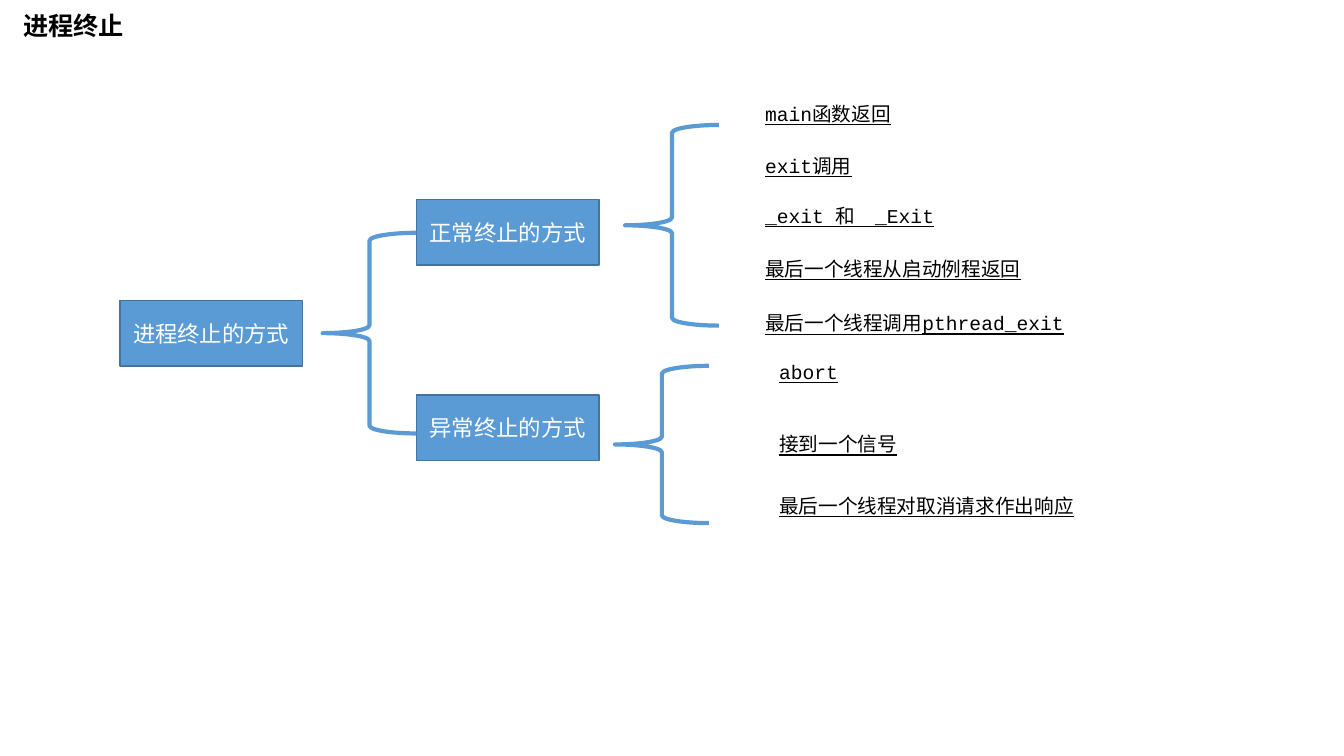
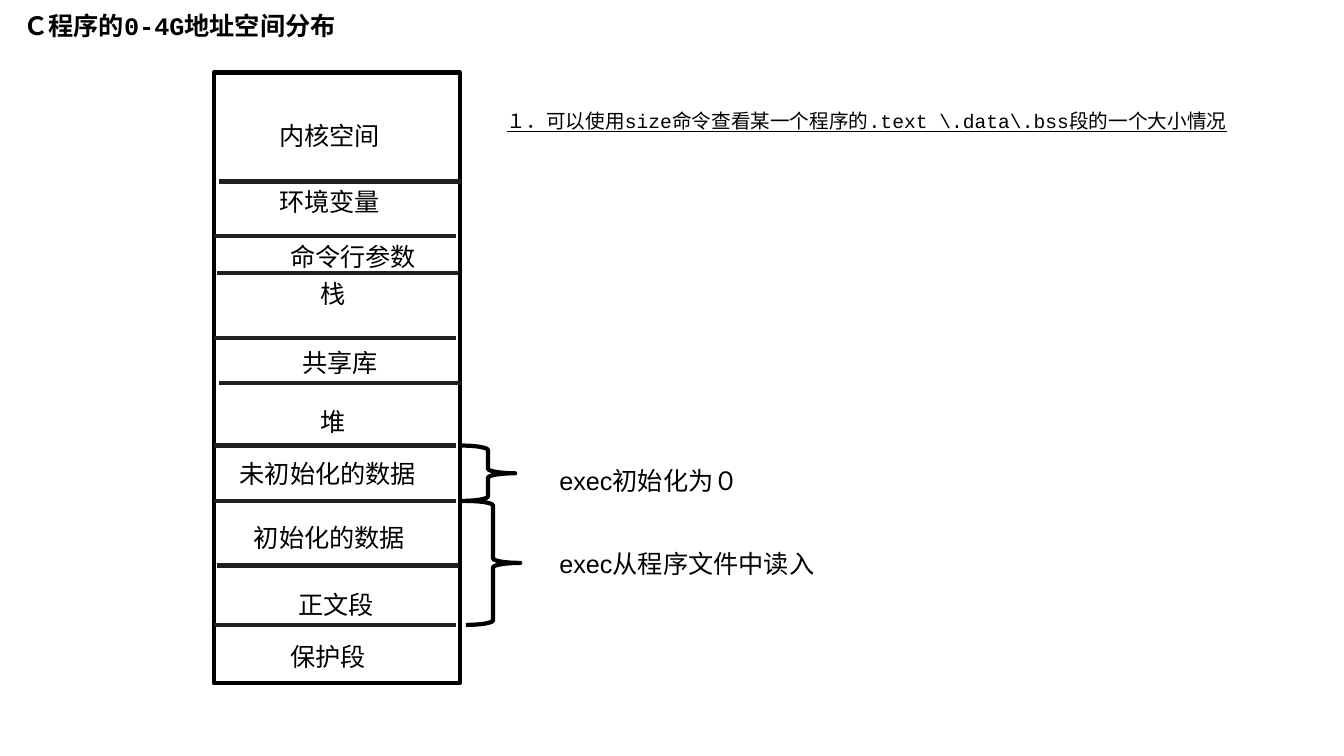
from dataclasses import dataclass

from lxml import etree
from pptx import Presentation
from pptx.dml.color import RGBColor
from pptx.enum import shapes, text
from pptx.oxml import ns
from pptx.util import Inches, Pt

COLORS = {
    "ink": "000000",
    "paper": "FFFFFF",
    "node": "5B9BD5",
    "node_edge": "43739E",
    "divider": "202020",
}
MONO, SANS = "Courier New", "Arial"
LINE_HEIGHT = {14: 0.34, 18: 0.4}
BRACE_LINE = 3


@dataclass(frozen=True)
class Box:
    left: float
    top: float
    width: float
    height: float

    def lengths(self):
        return tuple(Inches(n) for n in (self.left, self.top, self.width, self.height))


@dataclass(frozen=True)
class Label:
    words: str
    left: float
    top: float
    width: float


@dataclass(frozen=True)
class Divider:
    left: float
    top: float


NODE_WIDTH, NODE_HEIGHT = 1.81, 0.65
NODES = [
    Label("进程终止的方式", 1.19, 2.98, NODE_WIDTH),
    Label("正常终止的方式", 4.13, 1.98, NODE_WIDTH),
    Label("异常终止的方式", 4.13, 3.92, NODE_WIDTH),
]
TREE_BRACES = [
    Box(3.2, 2.31, 0.93, 1.99),
    Box(6.2, 1.24, 0.93, 1.99),
    Box(6.1, 3.63, 0.93, 1.56),
]
NORMAL_LEFT, ABNORMAL_LEFT = 7.49, 7.63
WAYS = [
    Label("main函数返回", NORMAL_LEFT, 0.96, 1.6),
    Label("exit调用", NORMAL_LEFT, 1.48, 1.6),
    Label("_exit 和　_Exit", NORMAL_LEFT, 1.97, 2.13),
    Label("最后一个线程从启动例程返回", NORMAL_LEFT, 2.5, 4.48),
    Label("最后一个线程调用pthread_exit", NORMAL_LEFT, 3.04, 4.48),
    Label("abort", ABNORMAL_LEFT, 3.52, 1.6),
    Label("接到一个信号", ABNORMAL_LEFT, 4.24, 1.6),
    Label("最后一个线程对取消请求作出响应", ABNORMAL_LEFT, 4.85, 3.77),
]

MEMORY = Box(2.12, 0.72, 2.44, 6.06)
DIVIDER_WIDTH = 2.4
DIVIDERS = [
    Divider(2.17, 1.8),
    Divider(2.12, 2.34),
    Divider(2.15, 2.71),
    Divider(2.12, 3.35),
    Divider(2.17, 3.8),
    Divider(2.12, 4.42),
    Divider(2.12, 4.97),
    Divider(2.15, 5.61),
    Divider(2.12, 6.2),
]
SEGMENTS = [
    Label("内核空间", 2.67, 1.14, 2.26),
    Label("环境变量", 2.67, 1.8, 2.26),
    Label("命令行参数", 2.78, 2.34, 2.26),
    Label("栈", 3.08, 2.71, 2.26),
    Label("共享库", 2.9, 3.4, 2.26),
    Label("堆", 3.08, 3.98, 2.26),
    Label("未初始化的数据", 2.28, 4.5, 2.26),
    Label("初始化的数据", 2.42, 5.13, 1.88),
    Label("正文段", 2.86, 5.8, 1.44),
    Label("保护段", 2.78, 6.31, 1.44),
]
EXEC_BRACES = [Box(4.57, 4.42, 0.54, 0.55), Box(4.62, 4.97, 0.54, 1.23)]
EXEC_NOTES = [
    Label("exec初始化为０", 5.45, 4.57, 3.47),
    Label("exec从程序文件中读入", 5.45, 5.39, 3.47),
]
SIZE_NOTE = Label(
    "１．可以使用size命令查看某一个程序的.text \\.data\\.bss段的一个大小情况", 4.93, 1.03, 7.96
)


def rgb(color: str) -> RGBColor:
    return RGBColor.from_string(COLORS[color])


def write(frame, words: str, *, size: int, font: str = SANS, color: str = "ink",
          bold: bool = False, underline: bool = False,
          align=text.PP_ALIGN.LEFT, anchor=text.MSO_ANCHOR.TOP) -> None:
    frame.word_wrap = True
    frame.auto_size = text.MSO_AUTO_SIZE.NONE
    frame.vertical_anchor = anchor
    paragraph = frame.paragraphs[0]
    paragraph.alignment = align
    run = paragraph.add_run()
    run.text = words
    run.font.name = font
    run.font.size = Pt(size)
    run.font.bold = bold
    run.font.underline = underline
    run.font.color.rgb = rgb(color)


def add_titled_slide(deck, title: str, width: float):
    slide = deck.slides.add_slide(deck.slide_layouts[5])
    holder = slide.shapes.title
    holder.left, holder.top, holder.width, holder.height = Box(0.13, 0.05, width, 0.4).lengths()
    write(holder.text_frame, title, size=18, font=MONO, bold=True)
    return slide


def add_label(slide, label: Label, *, size: int, **style) -> None:
    box = Box(label.left, label.top, label.width, LINE_HEIGHT[size])
    frame = slide.shapes.add_textbox(*box.lengths()).text_frame
    write(frame, label.words, size=size, **style)


def add_outline(slide, kind, box: Box, *, line: str, weight: float, fill: str = ""):
    shape = slide.shapes.add_shape(kind, *box.lengths())
    shape.shadow.inherit = False
    if fill:
        shape.fill.solid()
        shape.fill.fore_color.rgb = rgb(fill)
    else:
        shape.fill.background()
    shape.line.color.rgb = rgb(line)
    shape.line.width = Pt(weight)
    return shape


def add_node(slide, node: Label) -> None:
    box = Box(node.left, node.top, node.width, NODE_HEIGHT)
    shape = add_outline(slide, shapes.MSO_SHAPE.RECTANGLE, box,
                        line="node_edge", weight=1, fill="node")
    write(shape.text_frame, node.words, size=16, color="paper",
          align=text.PP_ALIGN.CENTER, anchor=text.MSO_ANCHOR.MIDDLE)


def add_divider(slide, divider: Divider) -> None:
    y = Inches(divider.top)
    line = slide.shapes.add_connector(
        shapes.MSO_CONNECTOR.STRAIGHT,
        Inches(divider.left), y, Inches(divider.left + DIVIDER_WIDTH), y)
    line.line.color.rgb = rgb("divider")
    line.line.width = Pt(3)
    etree.SubElement(line._element.spPr, ns.qn("a:effectLst"))


def build_termination(deck) -> None:
    slide = add_titled_slide(deck, "进程终止", 1.38)
    for node in NODES:
        add_node(slide, node)
    for brace in TREE_BRACES:
        add_outline(slide, shapes.MSO_SHAPE.LEFT_BRACE, brace, line="node", weight=BRACE_LINE)
    for way in WAYS:
        add_label(slide, way, size=14, font=MONO, underline=True)


def build_address_space(deck) -> None:
    slide = add_titled_slide(deck, "Ｃ程序的0-4G地址空间分布", 3.53)
    add_outline(slide, shapes.MSO_SHAPE.RECTANGLE, MEMORY, line="ink", weight=3)
    for divider in DIVIDERS:
        add_divider(slide, divider)
    for brace in EXEC_BRACES:
        add_outline(slide, shapes.MSO_SHAPE.RIGHT_BRACE, brace, line="ink", weight=BRACE_LINE)
    for label in SEGMENTS + EXEC_NOTES:
        add_label(slide, label, size=18)
    add_label(slide, SIZE_NOTE, size=14, font=MONO, underline=True)


def main() -> None:
    deck = Presentation()
    deck.slide_width, deck.slide_height = Inches(13.33), Inches(7.5)
    build_termination(deck)
    build_address_space(deck)
    deck.save("out.pptx")


if __name__ == "__main__":
    main()
